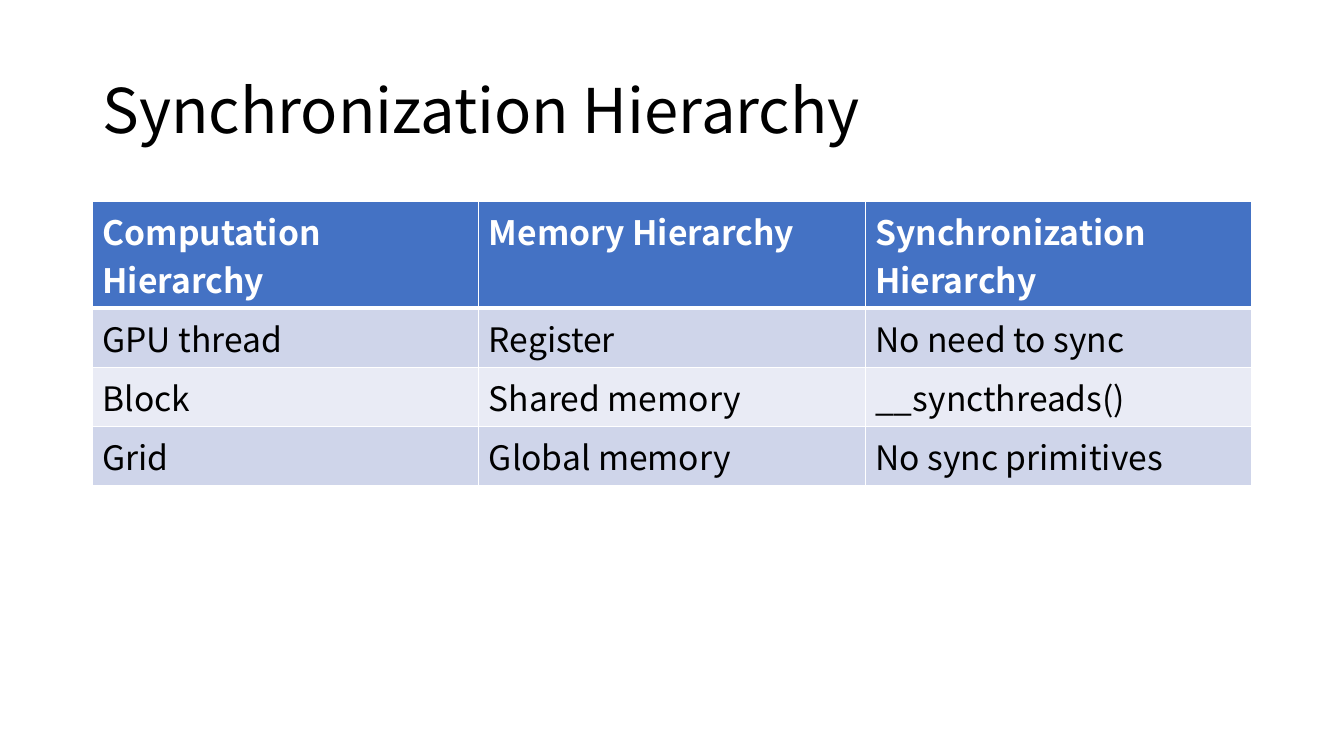
from lxml import etree
from pptx import Presentation
from pptx.dml.color import RGBColor
from pptx.enum.text import MSO_ANCHOR
from pptx.oxml.ns import qn
from pptx.util import Cm, Pt

MIDDLE = MSO_ANCHOR.MIDDLE
FONT = "Noto Sans CJK SC"
COLORS = {
    "header": "4472C4",
    "odd": "CFD5EA",
    "even": "E9EBF5",
    "white": "FFFFFF",
    "black": "000000",
}
LEFT, WIDTH = 2.33, 29.21


def write(frame, text, size=24, color="black", bold=False, spacing=1.0):
    paragraph = frame.paragraphs[0]
    paragraph.line_spacing = spacing
    run = paragraph.add_run()
    run.text = text
    run.font.name = FONT
    run.font.size = Pt(size)
    run.font.bold = bold
    run.font.color.rgb = RGBColor.from_string(COLORS[color])
    east_asian = etree.SubElement(run.font._element, qn("a:ea"))
    east_asian.set("typeface", FONT)


def add_borders(cell, widths):
    properties = cell._tc.get_or_add_tcPr()
    for side, width in widths.items():
        line = etree.SubElement(properties, qn(f"a:ln{side}"), w=str(Pt(width)))
        fill = etree.SubElement(line, qn("a:solidFill"))
        etree.SubElement(fill, qn("a:srgbClr"), val=COLORS["white"])


deck = Presentation()
deck.slide_width, deck.slide_height = Cm(33.87), Cm(19.05)
slide = deck.slides.add_slide(deck.slide_layouts[6])

title = slide.shapes.add_textbox(Cm(LEFT), Cm(1.01), Cm(WIDTH), Cm(3.68)).text_frame
title.word_wrap = True
title.vertical_anchor = MIDDLE
write(title, "Synchronization Hierarchy", size=44, spacing=0.9)

hierarchy = [
    ("Computation Hierarchy", "Memory Hierarchy", "Synchronization Hierarchy"),
    ("GPU thread", "Register", "No need to sync"),
    ("Block", "Shared memory", "__syncthreads()"),
    ("Grid", "Global memory", "No sync primitives"),
]
levels = slide.shapes.add_table(
    len(hierarchy), 3, Cm(LEFT), Cm(5.07), Cm(WIDTH), Cm(7.17)
).table

for row, names in enumerate(hierarchy):
    is_header = row == 0
    levels.rows[row].height = Cm(2.7 if is_header else 1.49)
    band = "header" if is_header else "odd" if row % 2 else "even"
    borders = {"L": 1, "R": 1, "T": 3 if row == 1 else 1, "B": 3 if is_header else 1}
    for column, name in enumerate(names):
        cell = levels.cell(row, column)
        add_borders(cell, borders)
        cell.fill.solid()
        cell.fill.fore_color.rgb = RGBColor.from_string(COLORS[band])
        write(cell.text_frame, name, color="white" if is_header else "black", bold=is_header)

deck.save("out.pptx")
